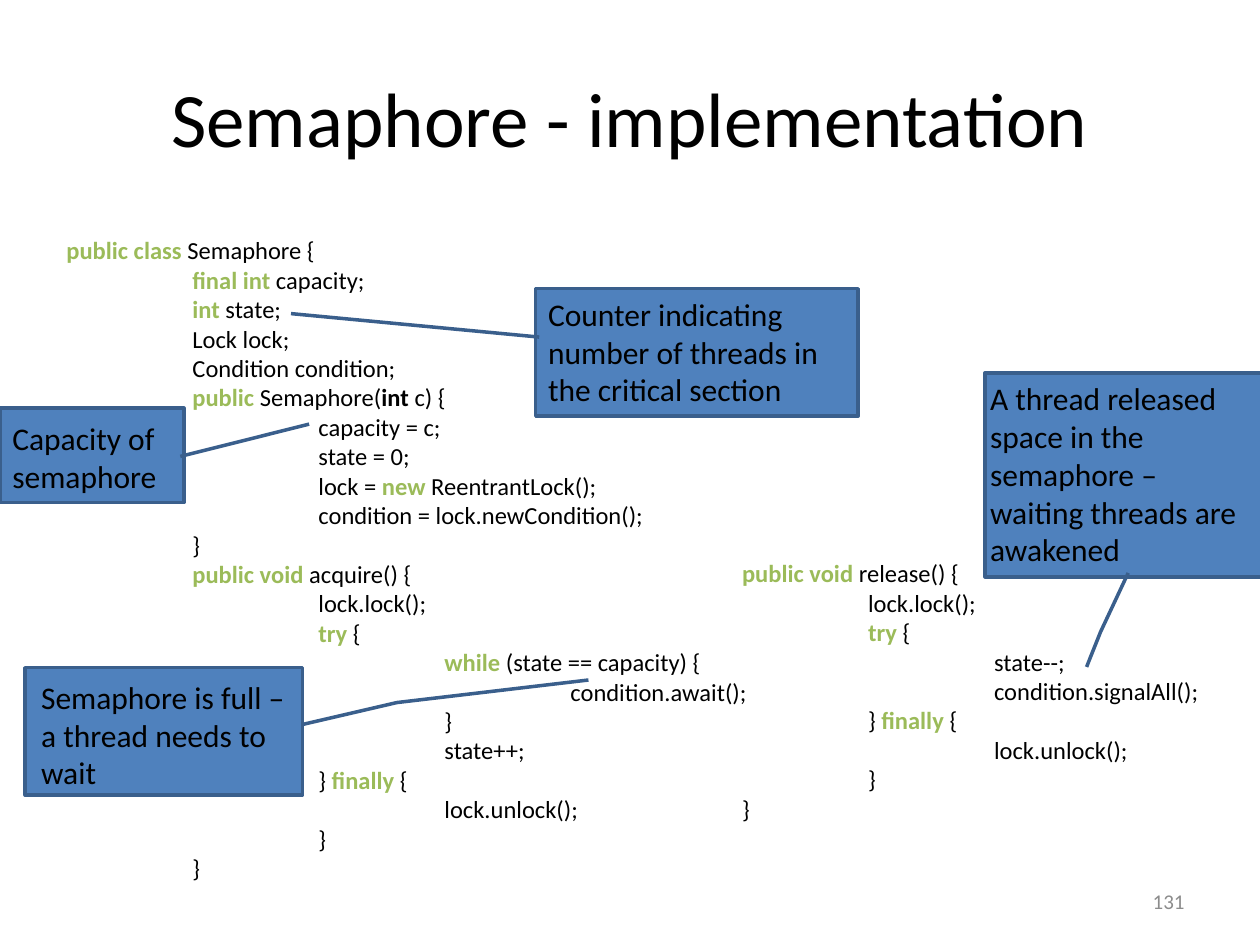
from pptx import Presentation
from pptx.dml.color import RGBColor
from pptx.enum.shapes import MSO_SHAPE as Preset
from pptx.enum.text import MSO_ANCHOR as Anchor, MSO_AUTO_SIZE as AutoSize, PP_ALIGN as Align
from pptx.oxml.ns import qn
from pptx.util import Cm, Pt
from lxml.etree import SubElement

BLACK, GREEN, GRAY, BLUE, DARK_BLUE = "000000", "9BBB59", "8C8C8C", "4F81BD", "3A5F8C"
TAB_STEP = Cm(2.54)

SEMAPHORE_CODE = """|public class| Semaphore {
\t|final int| capacity;
\t|int| state;
\tLock lock;
\tCondition condition;
\t|public| Semaphore(|int| c) {
\t\tcapacity = c;
\t\tstate = 0;
\t\tlock = |new |ReentrantLock();
\t\tcondition = lock.newCondition();
\t}
\t|public void| acquire() {
\t\tlock.lock();
\t\t|try| {
\t\t\t|while| (state == capacity) {
\t\t\t\tcondition.await();
\t\t\t}
\t\t\tstate++;
\t\t} |finally| {
\t\t\tlock.unlock();
\t\t}
\t}"""

RELEASE_CODE = """|public void| release() {
\tlock.lock();
\t|try |{
\t\tstate--;
\t\tcondition.signalAll();
\t} |finally| {
\t\tlock.unlock();
\t}
}"""

CALLOUTS = [
    ("Semaphore is full – a thread needs to wait", (0.51, 13.46, 5.59, 2.57), (0.07, 0.08),
     Preset.LINE_CALLOUT_2, (0.447, 0.998, 0.274, 1.34, 0.097, 2.031)),
    ("A thread released space in the semaphore – waiting threads are awakened",
     (19.86, 7.52, 5.59, 4.11), (-0.15, 0),
     Preset.LINE_CALLOUT_2, (0.981, 0.516, 1.271, 0.416, 1.442, 0.366)),
    ("Counter indicating number of threads in the critical section",
     (10.8, 5.82, 6.5, 2.57), (0, 0),
     Preset.LINE_CALLOUT_1, (0.38, 0.011, 0.196, -0.759)),
    ("Capacity of semaphore", (0, 8.23, 3.71, 1.9), (0, 0.1),
     Preset.LINE_CALLOUT_1, (0.512, 0.98, 0.169, 1.68)),
]


def color(hex_value):
    """Turn a hex string into a colour."""
    return RGBColor.from_string(hex_value)


def apply(target, values):
    """Set each named attribute on the target."""
    for name, value in values.items():
        setattr(target, name, value)


def add_run(paragraph, text, size, hex_value=BLACK, bold=False):
    """Append one formatted run to a paragraph."""
    run = paragraph.add_run()
    run.text = text
    apply(run.font, {"name": "Calibri", "size": Pt(size), "bold": bold})
    run.font.color.rgb = color(hex_value)


def add_frame(slide, box, **values):
    """Add a wrapping text box and return its text frame."""
    frame = slide.shapes.add_textbox(*map(Cm, box)).text_frame
    apply(frame, {"word_wrap": True, **values})
    return frame


def add_label(slide, box, text, size, hex_value=BLACK, align=Align.LEFT, **values):
    """Add a text box holding one line of plain text."""
    paragraph = add_frame(slide, box, **values).paragraphs[0]
    paragraph.alignment = align
    add_run(paragraph, text, size, hex_value)


def set_tabs(paragraph, count=4):
    """Give a paragraph evenly spaced left tab stops."""
    properties = paragraph._p.get_or_add_pPr()
    properties.set("defTabSz", str(TAB_STEP))
    tabs = SubElement(properties, qn("a:tabLst"))
    for number in range(1, count + 1):
        SubElement(tabs, qn("a:tab"), pos=str(number * TAB_STEP), algn="l")


def add_code(slide, box, code):
    """Add a listing with keywords between bars in bold, green unless in parentheses."""
    frame = add_frame(slide, box, auto_size=AutoSize.SHAPE_TO_FIT_TEXT)
    for number, line in enumerate(code.split("\n")):
        paragraph = frame.add_paragraph() if number else frame.paragraphs[0]
        set_tabs(paragraph)
        before = ""
        for index, part in enumerate(line.split("|")):
            keyword = index % 2 == 1
            green = keyword and not before.endswith("(")
            if part:
                add_run(paragraph, part, 14, GREEN if green else BLACK, keyword)
            before = part


def add_callout(slide, text, box, offset, preset, points):
    """Add a callout with its label shifted from the callout box."""
    shape = slide.shapes.add_shape(preset, *map(Cm, box))
    shape.shadow.inherit = False
    for index, value in enumerate(points):
        shape.adjustments[index] = value
    shape.fill.solid()
    shape.fill.fore_color.rgb = color(BLUE)
    shape.line.color.rgb = color(DARK_BLUE)
    shape.line.width = Pt(2)
    left, top, width, height = box
    label_box = (left + offset[0], top + offset[1], width, height)
    add_label(slide, label_box, text, 18)


def build():
    """Build and save the presentation."""
    presentation = Presentation()
    apply(presentation, {"slide_width": Cm(25.4), "slide_height": Cm(19.05)})
    slide = presentation.slides.add_slide(presentation.slide_layouts[6])
    middle = {"vertical_anchor": Anchor.MIDDLE}
    add_label(slide, (1.27, 0.76, 22.86, 3.18), "Semaphore - implementation", 44,
              align=Align.CENTER, **middle)
    add_label(slide, (18.21, 17.65, 5.92, 1.02), "131", 12, GRAY, Align.RIGHT, **middle)
    add_code(slide, (1.09, 4.62, 16.99, 14.02), SEMAPHORE_CODE)
    add_code(slide, (14.71, 11.13, 12.7, 6.25), RELEASE_CODE)
    for callout in CALLOUTS:
        add_callout(slide, *callout)
    presentation.save("out.pptx")


build()
